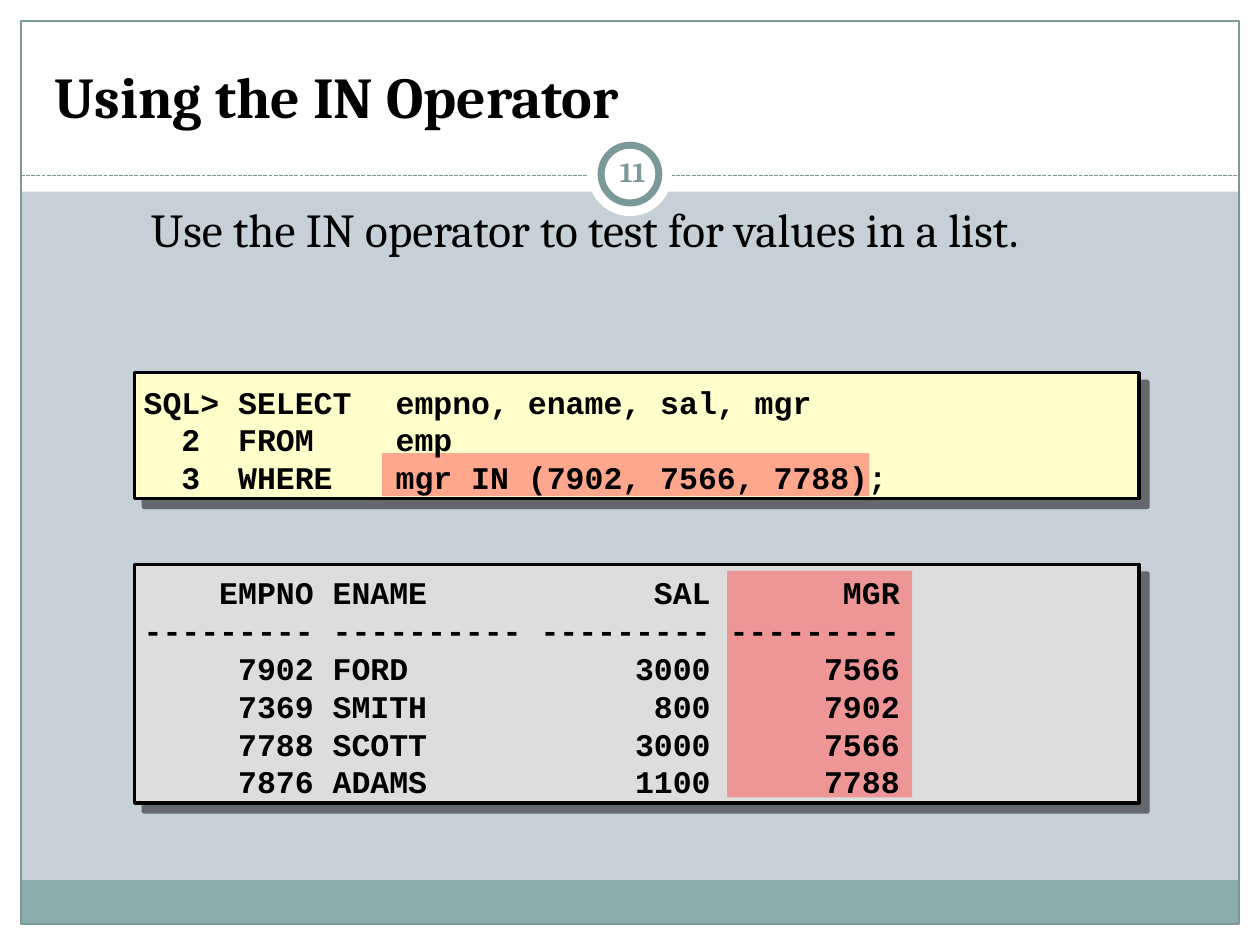
from lxml.etree import SubElement
from pptx import Presentation
from pptx.dml.color import RGBColor
from pptx.enum.dml import MSO_LINE as Dash
from pptx.enum.shapes import MSO_CONNECTOR as Connector, MSO_SHAPE as Shape
from pptx.enum.text import MSO_ANCHOR as Anchor, MSO_AUTO_SIZE as AutoSize, PP_ALIGN as Align
from pptx.oxml.ns import qn
from pptx.util import Pt

COLORS = {
    "page": "C5D1D7", "white": "FFFFFF", "black": "000000", "footer": "8CADAE",
    "frame": "7C999A", "code": "FFFFCC", "result": "DDDDDD", "highlight": "FF5050",
}

QUERY = """SQL> SELECT\tempno, ename, sal, mgr
  2  FROM \temp
  3  WHERE\tmgr IN (7902, 7566, 7788);"""

RESULT = """    EMPNO ENAME            SAL       MGR
--------- ---------- --------- ---------
     7902 FORD            3000      7566
     7369 SMITH            800      7902
     7788 SCOTT           3000      7566
     7876 ADAMS           1100      7788"""


def color(name):
    return RGBColor.from_string(COLORS[name])


def write(frame, text, font="Cambria", size=18, ink="black", bold=False,
          align=Align.LEFT, anchor=Anchor.TOP, margins=(7.2, 3.6), spacing=None, tab=None):
    frame.word_wrap = True
    frame.auto_size = AutoSize.NONE
    frame.vertical_anchor = anchor
    frame.margin_left = frame.margin_right = Pt(margins[0])
    frame.margin_top = frame.margin_bottom = Pt(margins[1])
    for index, line in enumerate(text.split("\n")):
        para = frame.add_paragraph() if index else frame.paragraphs[0]
        properties = para._p.get_or_add_pPr()
        properties.set("marL", "0")
        properties.set("indent", "0")
        SubElement(properties, qn("a:buNone"))
        if tab:
            stops = SubElement(properties, qn("a:tabLst"))
            SubElement(stops, qn("a:tab"), pos=str(Pt(tab)), algn="l")
        para.alignment = align
        para.space_before = Pt(0)
        if spacing:
            para.line_spacing = Pt(spacing)
        span = para.add_run()
        span.text = line
        span.font.name = font
        span.font.size = Pt(size)
        span.font.bold = bold
        span.font.color.rgb = color(ink)


class SlideBuilder:
    def __init__(self, page):
        self.page = page
        self.shapes = page.shapes
        fill = page.background.fill
        fill.solid()
        fill.fore_color.rgb = color("page")

    def shape(self, left, top, width, height, fill=None, line=None, weight=0.75, kind=Shape.RECTANGLE):
        box = self.shapes.add_shape(kind, Pt(left), Pt(top), Pt(width), Pt(height))
        box.shadow.inherit = False
        if fill:
            box.fill.solid()
            box.fill.fore_color.rgb = color(fill)
        else:
            box.fill.background()
        if line:
            box.line.color.rgb = color(line)
            box.line.width = Pt(weight)
        else:
            box.line.fill.background()
        return box

    def panel(self, left, top, width, height, fill):
        box = self.shape(left, top, width, height, fill, "black", 2)
        effects = box._element.spPr.find(qn("a:effectLst"))
        shadow = SubElement(effects, qn("a:outerShdw"), dist=str(Pt(7.1)), dir="2700000",
                            algn="ctr", rotWithShape="0")
        ink = SubElement(shadow, qn("a:srgbClr"), val=COLORS["black"])
        SubElement(ink, qn("a:alpha"), val="50000")

    def highlight(self, left, top, width, height):
        box = self.shape(left, top, width, height, "highlight")
        ink = box._element.spPr.find(qn("a:solidFill")).find(qn("a:srgbClr"))
        SubElement(ink, qn("a:alpha"), val="50000")

    def rule(self, left, right, top):
        line = self.shapes.add_connector(Connector.STRAIGHT, Pt(left), Pt(top), Pt(right), Pt(top))
        line.line.color.rgb = color("frame")
        line.line.width = Pt(0.75)
        line.line.dash_style = Dash.SQUARE_DOT
        SubElement(line._element.spPr, qn("a:effectLst"))

    def placeholder(self, holder, left, top, width, height, text, **style):
        self.shapes._spTree.append(holder._element)
        holder.left, holder.top, holder.width, holder.height = map(Pt, (left, top, width, height))
        write(holder.text_frame, text, **style)

    def text(self, left, top, width, height, text, **style):
        box = self.shapes.add_textbox(Pt(left), Pt(top), Pt(width), Pt(height))
        write(box.text_frame, text, anchor=Anchor.MIDDLE, **style)

    def listing(self, left, top, width, height, text):
        self.text(left, top, width, height, text, font="Courier New", bold=True,
                  spacing=21.6, tab=94.3)


def main():
    deck = Presentation()
    deck.slide_width, deck.slide_height = Pt(720), Pt(540)
    page = deck.slides.add_slide(deck.slide_layouts[1])
    slide = SlideBuilder(page)

    for band in ((0, 528, 720, 12), (0, 0, 720, 109.5), (0, 0, 12, 540), (708, 0, 12, 540)):
        slide.shape(*band, fill="white")
    slide.shape(12, 503, 696, 25, "footer")
    slide.shape(12, 12, 696, 516, line="frame")
    slide.rule(12, 708, 100.5)
    slide.shape(336, 75.5, 48, 48, "white", kind=Shape.OVAL)
    slide.shape(343.5, 83, 33, 33, "white", "frame", 4, Shape.OVAL)

    slide.panel(77, 213, 574, 72, "code")
    slide.panel(77, 322.5, 574, 136.5, "result")
    slide.placeholder(page.shapes.title, 24, 18, 672, 60, "Using the IN Operator",
                      size=33, bold=True, anchor=Anchor.BOTTOM)
    slide.placeholder(page.placeholders[1], 79, 111, 582, 71,
                      "Use the IN operator to test for values in a list.", size=27)
    slide.highlight(218.25, 259, 278.5, 24.5)
    slide.highlight(415.5, 326.25, 105.75, 129.5)
    slide.listing(75, 214, 576, 74, QUERY)
    slide.listing(75, 323, 576, 139, RESULT)
    slide.text(343.5, 80.75, 36, 34.5, "11", size=16, ink="frame", bold=True,
               align=Align.CENTER, margins=(3.6, 3.6))

    deck.save("out.pptx")


if __name__ == "__main__":
    main()
